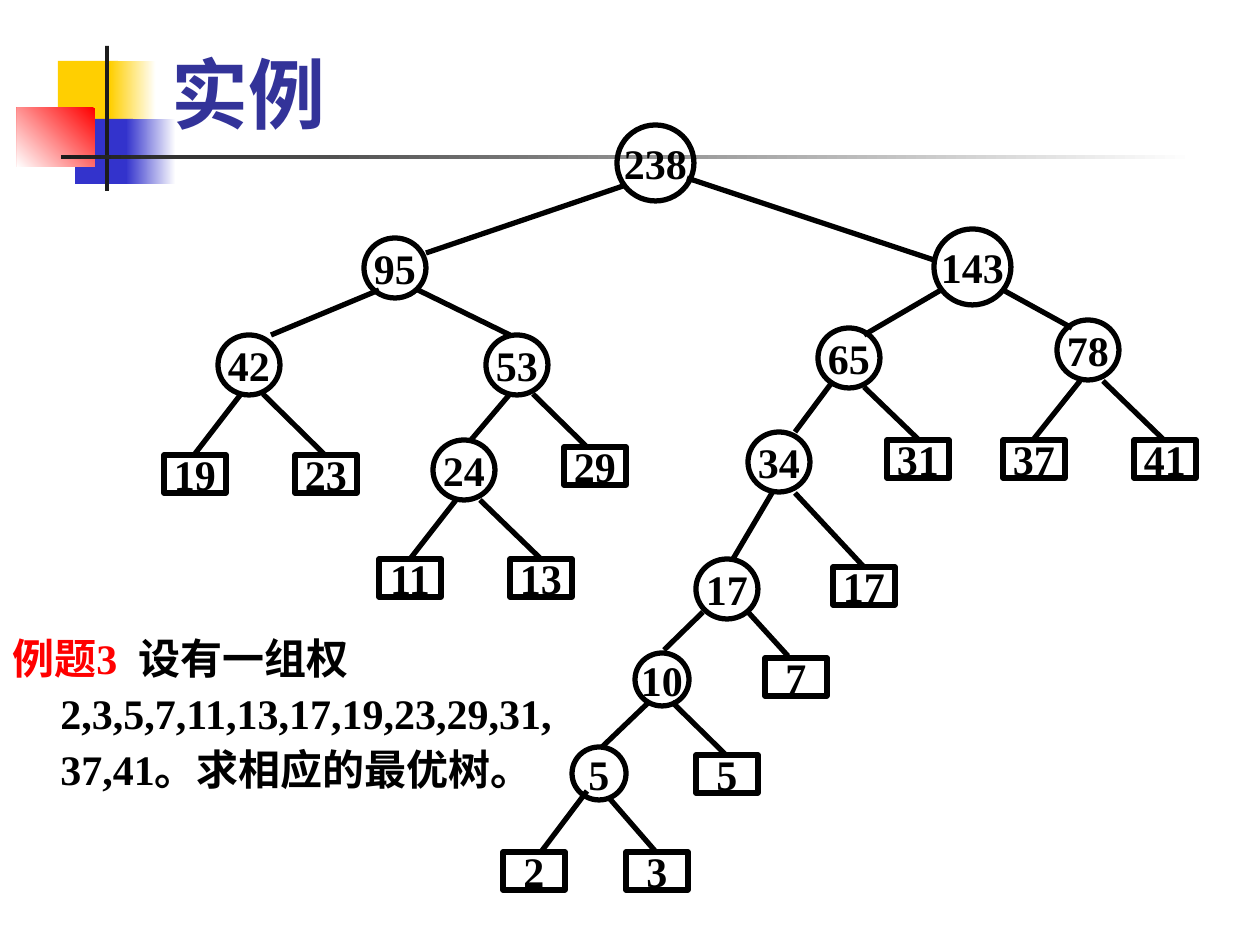
from dataclasses import dataclass

from lxml.etree import SubElement
from pptx import Presentation
from pptx.dml.color import RGBColor
from pptx.enum.shapes import MSO_CONNECTOR, MSO_SHAPE
from pptx.enum.text import MSO_ANCHOR, PP_ALIGN
from pptx.oxml import parse_xml
from pptx.oxml.ns import nsdecls, qn
from pptx.util import Pt

EMU_PER_PX = 914400 / 126


@dataclass(frozen=True)
class Theme:
    font: str = "Times New Roman"
    title_size: int = 44
    text_size: int = 24
    line_width: int = 3
    title: str = "333399"
    accent: str = "FF0000"
    ink: str = "000000"
    paper: str = "FFFFFF"
    yellow: str = "FFCF01"
    blue: str = "3333CC"
    dark: str = "1C1C1C"


THEME = Theme()

# Sizes of the tree nodes: width, height
LEAF = (62, 38)
SMALL, MEDIUM, LARGE = (54, 53), (62, 60), (77, 76)

# Leaves: weight, left, top
LEAVES = [
    ("2", 503, 852), ("3", 626, 852), ("5", 696, 755), ("7", 765, 658),
    ("11", 379, 559), ("13", 510, 559), ("17", 833, 567), ("29", 564, 447),
    ("31", 887, 440), ("19", 164, 455), ("23", 295, 455),
    ("37", 1003, 440), ("41", 1134, 440),
]

# Branches: sum, left, top, size, then the left and right edge as x1, y1, x2, y2
BRANCHES = [
    ("238", 617, 125, LARGE, (626, 185, 426, 253), (687, 178, 934, 260)),
    ("95", 364, 238, MEDIUM, (379, 290, 271, 335), (418, 290, 510, 335)),
    ("143", 934, 229, LARGE, (941, 290, 864, 335), (1003, 290, 1072, 328)),
    ("42", 218, 335, MEDIUM, (241, 394, 194, 455), (263, 394, 325, 455)),
    ("53", 486, 335, MEDIUM, (510, 394, 471, 440), (533, 394, 587, 447)),
    ("24", 433, 440, MEDIUM, (456, 500, 410, 559), (480, 500, 541, 559)),
    ("65", 818, 328, MEDIUM, (833, 381, 795, 432), (864, 387, 919, 440)),
    ("78", 1057, 320, MEDIUM, (1080, 381, 1033, 440), (1103, 381, 1164, 440)),
    ("34", 748, 432, MEDIUM, (772, 493, 733, 559), (795, 493, 864, 567)),
    ("17", 696, 559, MEDIUM, (703, 612, 664, 650), (748, 612, 788, 656)),
    ("10", 635, 653, SMALL, (649, 702, 602, 747), (672, 702, 726, 755)),
    ("5", 572, 747, SMALL, (587, 791, 541, 852), (610, 799, 656, 852)),
]


def emu(*lengths):
    return [round(length * EMU_PER_PX) for length in lengths]


def rgb(color):
    return RGBColor.from_string(color)


class TreeSlide:
    def __init__(self, presentation, theme):
        self.theme = theme
        self.slide = presentation.slides.add_slide(presentation.slide_layouts[6])

    def add_run(self, paragraph, text, color, size):
        run = paragraph.add_run()
        run.text = text
        run.font.name = self.theme.font
        run.font.size = Pt(size)
        run.font.bold = True
        run.font.color.rgb = rgb(color)
        return run

    def block(self, box, color, end_color=None, angle=180):
        """Add a borderless rectangle, fading to end_color when one is given."""
        shape = self.slide.shapes.add_shape(MSO_SHAPE.RECTANGLE, *emu(*box))
        shape.shadow.inherit = False
        shape.line.fill.background()
        if end_color is None:
            shape.fill.solid()
            shape.fill.fore_color.rgb = rgb(color)
            return
        shape.fill.gradient()
        shape.fill.gradient_angle = angle
        for stop, stop_color in zip(shape.fill.gradient_stops, (color, end_color)):
            stop.color.rgb = rgb(stop_color)

    def text_box(self, box, anchor):
        frame = self.slide.shapes.add_textbox(*emu(*box)).text_frame
        frame.word_wrap = True
        frame.vertical_anchor = anchor
        return frame.paragraphs[0]

    def title(self, box, text):
        paragraph = self.text_box(box, MSO_ANCHOR.BOTTOM)
        run = self.add_run(paragraph, text, self.theme.title, self.theme.title_size)
        shadow = parse_xml(
            f'<a:effectLst {nsdecls("a")}><a:outerShdw dist="17961" dir="2700000">'
            f'<a:srgbClr val="{self.theme.ink}"/></a:outerShdw></a:effectLst>')
        run.font._element.find(qn("a:solidFill")).addnext(shadow)

    def exercise(self, box, runs):
        paragraph = self.text_box(box, MSO_ANCHOR.TOP)
        paragraph.line_spacing = 1.1
        paragraph.space_before = Pt(9)
        properties = paragraph._p.get_or_add_pPr()
        indent = emu(48)[0]
        properties.set("marL", str(indent))
        properties.set("indent", str(-indent))
        for text, color in runs:
            self.add_run(paragraph, text, color, self.theme.text_size)

    def node(self, preset, label, left, top, size):
        shape = self.slide.shapes.add_shape(preset, *emu(left, top, *size))
        shape.shadow.inherit = False
        shape.fill.background()
        shape.line.color.rgb = rgb(self.theme.ink)
        shape.line.width = Pt(self.theme.line_width)
        frame = shape.text_frame
        frame.word_wrap = False
        frame.vertical_anchor = MSO_ANCHOR.MIDDLE
        paragraph = frame.paragraphs[0]
        paragraph.alignment = PP_ALIGN.CENTER
        self.add_run(paragraph, label, self.theme.ink, self.theme.text_size)

    def edge(self, ends):
        line = self.slide.shapes.add_connector(MSO_CONNECTOR.STRAIGHT, *emu(*ends))
        line.line.color.rgb = rgb(self.theme.ink)
        line.line.width = Pt(self.theme.line_width)
        SubElement(line._element.spPr, qn("a:effectLst"))


def main():
    presentation = Presentation()
    presentation.slide_width, presentation.slide_height = emu(1260, 945)
    tree = TreeSlide(presentation, THEME)

    tree.block((58, 61, 60, 65), THEME.yellow)
    tree.block((110, 61, 46, 65), THEME.paper, THEME.yellow)
    tree.block((75, 119, 58, 65), THEME.blue)
    tree.block((126, 119, 50, 65), THEME.paper, THEME.blue)
    tree.block((17, 108, 78, 59), THEME.accent, THEME.paper, angle=225)
    tree.block((105, 46, 4, 145), THEME.dark)
    tree.block((61, 155, 1134, 4), THEME.paper, THEME.dark)

    tree.title((159, 10, 1073, 135), "实例")
    tree.exercise((0, 621, 576, 189), [
        ("例题3  ", THEME.accent),
        ("设有一组权2,3,5,7,11,13,17,19,23,29,31,37,41。求相应的最优树。", THEME.ink),
    ])

    for label, left, top in LEAVES:
        tree.node(MSO_SHAPE.RECTANGLE, label, left, top, LEAF)
    for label, left, top, size, *edges in BRANCHES:
        tree.node(MSO_SHAPE.OVAL, label, left, top, size)
        for ends in edges:
            tree.edge(ends)

    presentation.save("out.pptx")


if __name__ == "__main__":
    main()
